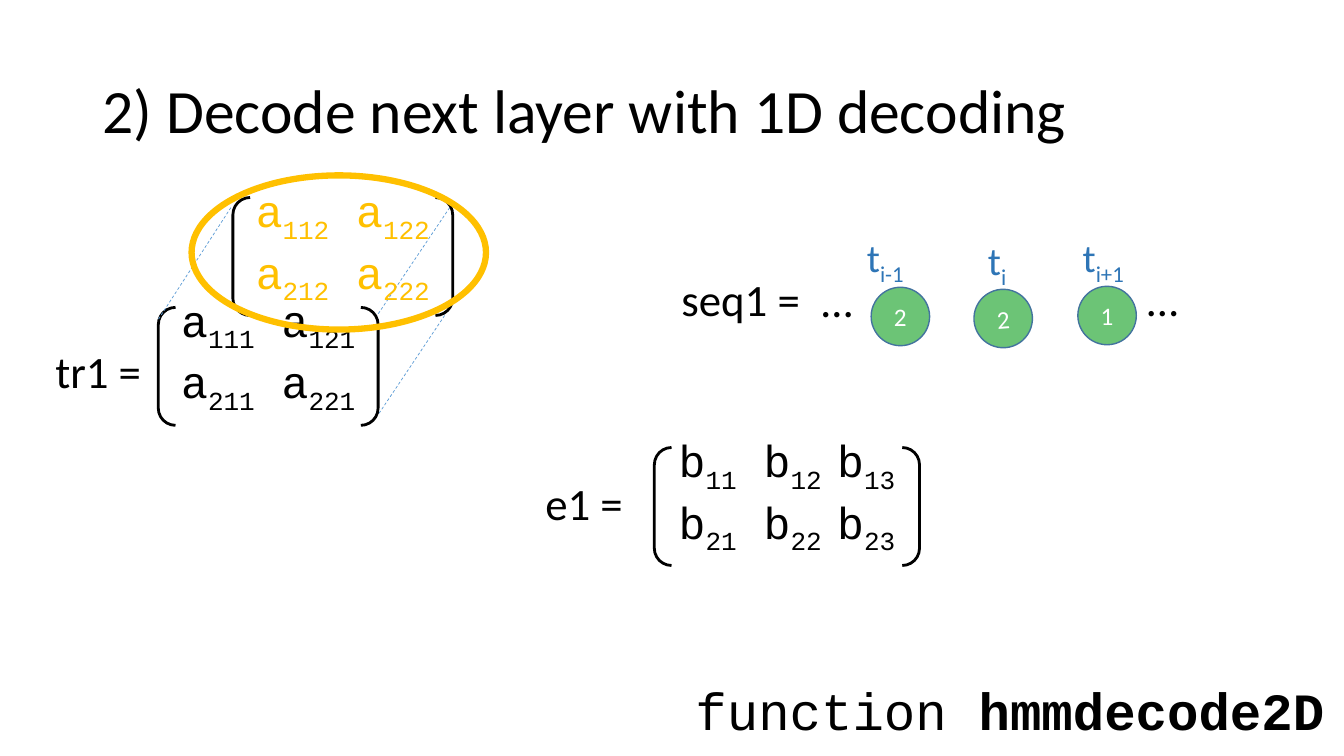
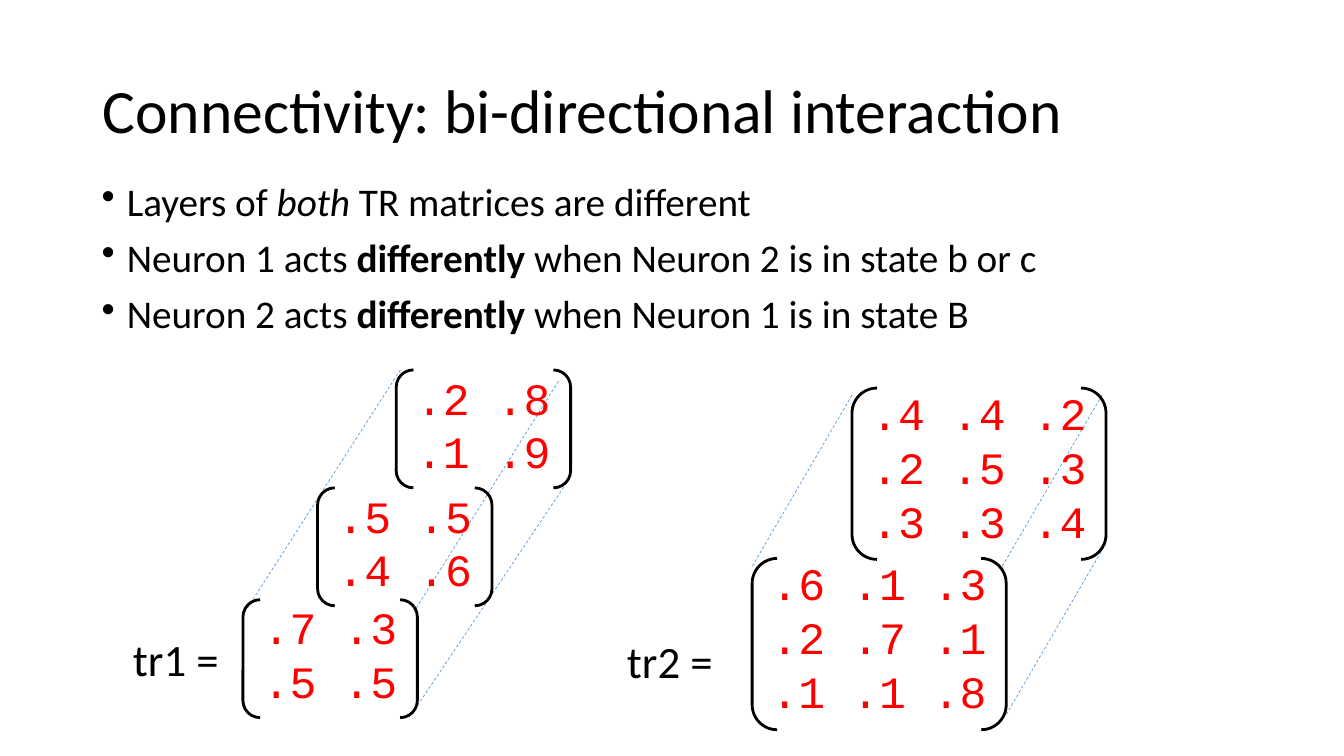
import pptx
import pptx.util
import pptx.dml.color
import pptx.enum.dml
import pptx.enum.shapes
import pptx.enum.text
import lxml.etree

# Shared scale, colours and fonts: 100 px to the inch
PX = 9144
BLACK, WHITE, RED, GOLD = "000000", "FFFFFF", "FF0000", "FFC000"
BLUE, GREEN, EDGE, GUIDE = "2E75B6", "6CC476", "43739E", "5B9BD5"
SANS, MONO = "Calibri", "Courier New"
SHAPE = pptx.enum.shapes.MSO_SHAPE
ALIGN = pptx.enum.text.PP_ALIGN
ANCHOR = pptx.enum.text.MSO_ANCHOR


def px(n):
    return pptx.util.Emu(n * PX)


def rgb(code):
    return pptx.dml.color.RGBColor.from_string(code)


def add_run(para, text, size, color, font=SANS, style=""):
    """Style is "", "b", "i" or "sub"."""
    run = para.add_run()
    run.text = text
    run.font.name = font
    run.font.size = pptx.util.Pt(size)
    run.font.color.rgb = rgb(color)
    if style == "b":
        run.font.bold = True
    elif style == "i":
        run.font.italic = True
    elif style == "sub":
        run.font._element.set("baseline", "-25000")


def add_subs(para, text, *look):
    """Every second piece between bars is a subscript."""
    for n, piece in enumerate(text.split("|")):
        if piece:
            add_run(para, piece, *look, style="sub" if n % 2 else "")


def next_para(frame, n):
    return frame.add_paragraph() if n else frame.paragraphs[0]


def add_box(slide, x, y, w, h, anchor=ANCHOR.TOP):
    box = slide.shapes.add_textbox(px(x), px(y), px(w), px(h))
    frame = box.text_frame
    frame.word_wrap = True
    frame.vertical_anchor = anchor
    return frame


def add_title(slide, text):
    para = add_box(slide, 92, 40, 1150, 145, ANCHOR.MIDDLE).paragraphs[0]
    para.line_spacing = 0.9
    add_run(para, text, 44, BLACK)


def add_label(slide, x, y, w, text, size=32, color=BLACK):
    frame = add_box(slide, x, y, w, size * 2)
    add_subs(frame.paragraphs[0], text, size, color)


def add_form(slide, kind, x, y, w, h, line, weight, fill=None):
    form = slide.shapes.add_shape(kind, px(x), px(y), px(w), px(h))
    form.shadow.inherit = False
    form.line.color.rgb = rgb(line)
    form.line.width = pptx.util.Pt(weight)
    if fill:
        form.fill.solid()
        form.fill.fore_color.rgb = rgb(fill)
    else:
        form.fill.background()
    return form


def add_matrix(slide, x, y, w, h, rows, color):
    form = add_form(slide, SHAPE.DOUBLE_BRACKET, x, y, w, h, BLACK, 2)
    form.adjustments[0] = 0.146
    frame = form.text_frame
    frame.vertical_anchor = ANCHOR.BOTTOM
    for n, row in enumerate(rows):
        para = next_para(frame, n)
        para.alignment = ALIGN.CENTER
        add_subs(para, row, 32, color, MONO)


def add_guides(slide, *ends):
    """Thin dashed lines that join the layers of a matrix."""
    for x1, y1, x2, y2 in ends:
        line = slide.shapes.add_connector(
            pptx.enum.shapes.MSO_CONNECTOR.STRAIGHT,
            px(x1), px(y1), px(x2), px(y2))
        line.line.color.rgb = rgb(GUIDE)
        line.line.width = pptx.util.Pt(0.5)
        line.line.dash_style = pptx.enum.dml.MSO_LINE.DASH
        lxml.etree.SubElement(line._element.spPr,
                              pptx.oxml.ns.qn("a:effectLst"))


def add_state(slide, x, y, text, turn=0):
    form = add_form(slide, SHAPE.OVAL, x, y, 58, 58, EDGE, 1, GREEN)
    form.rotation = turn
    form.text_frame.vertical_anchor = ANCHOR.MIDDLE
    para = form.text_frame.paragraphs[0]
    para.alignment = ALIGN.CENTER
    add_run(para, text, 18, WHITE)


def add_bullets(slide, x, y, w, h, items):
    frame = add_box(slide, x, y, w, h)
    for n, runs in enumerate(items):
        para = next_para(frame, n)
        props = para._p.get_or_add_pPr()
        props.set("marL", str(px(25)))
        props.set("indent", str(px(-25)))
        mark = lxml.etree.SubElement(props, pptx.oxml.ns.qn("a:buChar"))
        mark.set("char", "•")
        para.line_spacing = 0.9
        if n:
            para.space_before = pptx.util.Pt(10)
        for text, style in runs:
            add_run(para, text, 28, BLACK, style=style)


def draw_decode(slide):
    add_title(slide, "2) Decode next layer with 1D decoding")

    # Two layers of the transition matrix
    add_label(slide, 45, 336, 108, "tr1 =")
    add_matrix(slide, 157, 305, 218, 117,
               ["a|111| a|121|", "a|211| a|221|"], BLACK)
    add_guides(slide, (229, 206, 157, 317), (446, 206, 374, 313),
               (441, 313, 376, 410))
    add_matrix(slide, 231, 196, 218, 117,
               ["a|112| a|122|", "a|212| a|222|"], GOLD)
    add_form(slide, SHAPE.OVAL, 190, 174, 292, 153, GOLD, 4.5)

    # Sequence of states
    add_label(slide, 666, 265, 151, "seq1 =")
    add_label(slide, 805, 266, 35, "…")
    add_label(slide, 1128, 265, 35, "…")
    for x, y, w, text in [(850, 227, 110, "t|i-1|"), (970, 230, 49, "t|i|"),
                          (1064, 227, 110, "t|i+1|")]:
        add_label(slide, x, y, w, text, 28, BLUE)
    add_state(slide, 864, 285, "2")
    add_state(slide, 966, 287, "2", 355.5)
    add_state(slide, 1069, 284, "1")

    # Emission matrix
    add_label(slide, 531, 467, 108, "e1 =")
    add_matrix(slide, 649, 444, 263, 117,
               ["b|11| b|12 |b|13|", "b|21| b|22 |b|23|"], BLACK)

    # Function name
    para = add_box(slide, 680, 674, 653, 72, ANCHOR.MIDDLE).paragraphs[0]
    para.line_spacing = 0.8
    add_run(para, "function ", 37.4, BLACK, MONO)
    add_run(para, "hmmdecode2D", 37.4, BLACK, MONO, "b")


def draw_links(slide):
    add_title(slide, "Connectivity: bi-directional interaction")
    add_bullets(slide, 91, 176, 1150, 225, [
        [("Layers of ", ""), ("both", "i"),
         (" TR matrices are different", "")],
        [("Neuron 1 acts ", ""), ("differently ", "b"),
         ("when Neuron 2 is in state b or c", "")],
        [("Neuron 2 acts ", ""), ("differently ", "b"),
         ("when Neuron 1 is in state B", "")],
    ])

    # Three layers for the first neuron
    add_label(slide, 122, 622, 108, "tr1 =")
    add_guides(slide, (397, 367, 243, 607), (554, 378, 413, 603),
               (562, 479, 414, 700))
    for x, y, rows in [(241, 595, [".7 .3", ".5 .5"]),
                       (315, 484, [".5 .5", ".4 .6"]),
                       (393, 367, [".2 .8", ".1 .9"])]:
        add_matrix(slide, x, y, 173, 117, rows, RED)

    # Two layers for the second neuron
    add_label(slide, 612, 624, 108, "tr2 =")
    add_guides(slide, (845, 392, 746, 562), (1097, 539, 998, 709),
               (1093, 392, 994, 562))
    for x, y, rows in [(746, 554, [".6 .1 .3", ".2 .7 .1", ".1 .1 .8"]),
                       (845, 385, [".4 .4 .2", ".2 .5 .3", ".3 .3 .4"])]:
        add_matrix(slide, x, y, 252, 170, rows, RED)


def main():
    deck = pptx.Presentation()
    deck.slide_width, deck.slide_height = px(1333), px(750)
    for draw in (draw_decode, draw_links):
        draw(deck.slides.add_slide(deck.slide_layouts[6]))
    deck.save("out.pptx")


if __name__ == "__main__":
    main()
